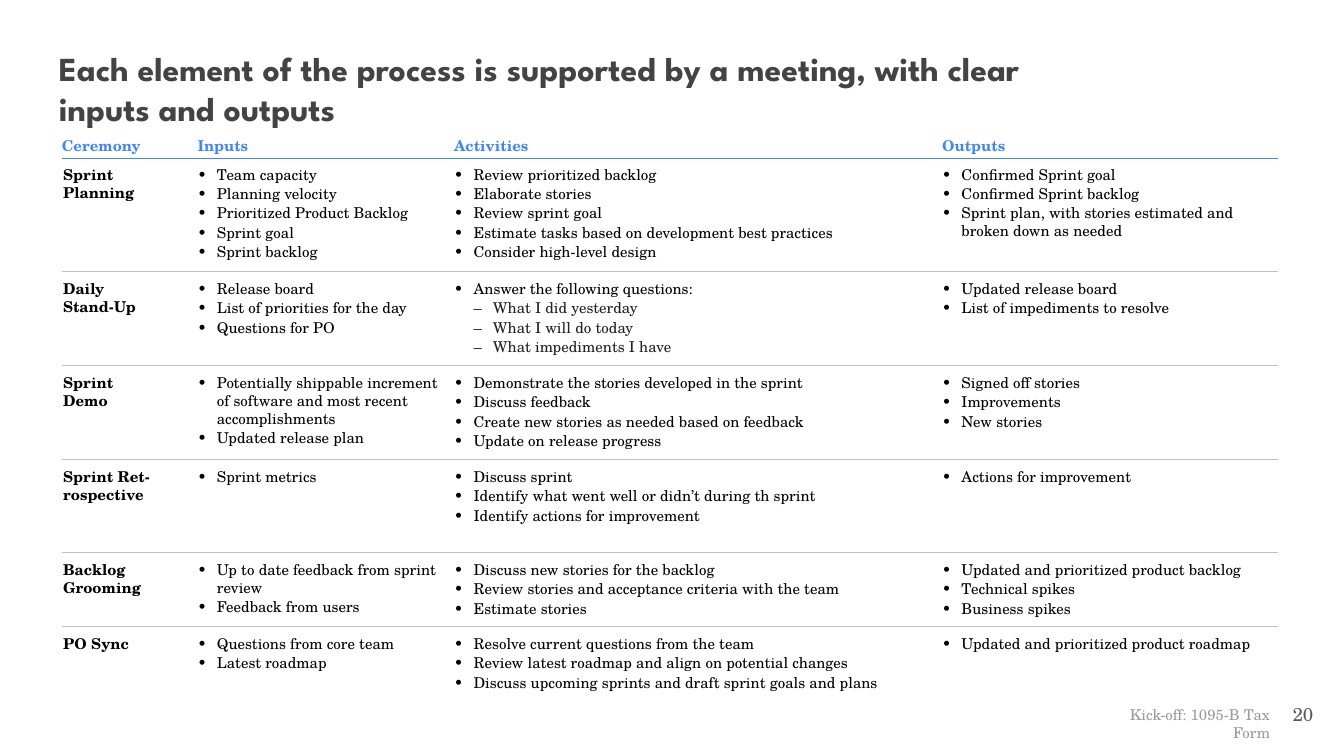
from math import ceil

from lxml.etree import SubElement
from pptx import Presentation
from pptx.dml.color import RGBColor
from pptx.enum.shapes import MSO_CONNECTOR as Connector
from pptx.enum.text import MSO_ANCHOR as Anchor, PP_ALIGN as Align
from pptx.oxml.ns import qn
from pptx.util import Inches, Pt

COLORS = {"title": "434343", "accent": "4285F4", "rule": "BFBFBF", "text": "000000",
          "sub": "212121", "number": "595959", "footer": "9B9B9B"}
HEAD_FONT, BODY_FONT = "League Spartan", "TeX Gyre Schola"

# The grid has square cells: 100 columns by 56.25 rows.
CELL = Inches(0.1)
COLUMNS, ROWS = 100, 56.25
TABLE_LEFT, TABLE_RIGHT = 4.6, 95.1
HEADER_TOP, HEADER_RULE = 10.2, 11.8
RULE_GAP = 0.6
LINE_ROWS = 1.45
CHARS_PER_COLUMN = 1.8
INDENT = 1.44

HEADINGS = [("Ceremony", 4.6, 9.2), ("Inputs", 14.7, 18),
            ("Activities", 33.8, 35.3), ("Outputs", 70.1, 25.1)]

# Top row, ceremony, then inputs, activities and outputs; "–" starts a sub-item.
CEREMONIES = [
    (12.3, "Sprint Planning",
     ["Team capacity", "Planning velocity", "Prioritized Product Backlog",
      "Sprint goal", "Sprint backlog"],
     ["Review prioritized backlog", "Elaborate stories", "Review sprint goal",
      "Estimate tasks based on development best practices",
      "Consider high-level design"],
     ["Confirmed Sprint goal", "Confirmed Sprint backlog",
      "Sprint plan, with stories estimated and broken down as needed"]),
    (20.8, "Daily\vStand-Up",
     ["Release board", "List of priorities for the day", "Questions for PO"],
     ["Answer the following questions:", "–What I did yesterday",
      "–What I will do today", "–What impediments I have"],
     ["Updated release board", "List of impediments to resolve"]),
    (27.8, "Sprint Demo",
     ["Potentially shippable increment of software and most recent accomplishments",
      "Updated release plan"],
     ["Demonstrate the stories developed in the sprint", "Discuss feedback",
      "Create new stories as needed based on feedback",
      "Update on release progress"],
     ["Signed off stories", "Improvements", "New stories"]),
    (34.8, "Sprint Ret-rospective",
     ["Sprint metrics"],
     ["Discuss sprint", "Identify what went well or didn’t during th sprint",
      "Identify actions for improvement"],
     ["Actions for improvement"]),
    (41.7, "Backlog Grooming",
     ["Up to date feedback from sprint review", "Feedback from users"],
     ["Discuss new stories for the backlog",
      "Review stories and acceptance criteria with the team", "Estimate stories"],
     ["Updated and prioritized product backlog", "Technical spikes",
      "Business spikes"]),
    (47.2, "PO Sync",
     ["Questions from core team", "Latest roadmap"],
     ["Resolve current questions from the team",
      "Review latest roadmap and align on potential changes",
      "Discuss upcoming sprints and draft sprint goals and plans"],
     ["Updated and prioritized product roadmap"]),
]


def cells(count):
    return round(count * CELL)


class Deck:
    """Holds the style and the current slide; lengths are in grid cells."""

    def __init__(self):
        self.file = Presentation()
        self.file.slide_width, self.file.slide_height = cells(COLUMNS), cells(ROWS)
        self.slide = self.file.slides.add_slide(self.file.slide_layouts[6])

    def frame(self, left, top, width, height, inset=0, bottom=None, anchor=Anchor.TOP):
        box = self.slide.shapes.add_textbox(*map(cells, (left, top, width, height)))
        frame = box.text_frame
        frame.word_wrap = True
        frame.vertical_anchor = anchor
        frame.margin_left = frame.margin_right = frame.margin_top = cells(inset)
        frame.margin_bottom = cells(inset if bottom is None else bottom)
        return frame

    def style(self, paragraph, color, size=8, bold=False, name=BODY_FONT):
        font = paragraph.font
        font.name, font.size, font.bold = name, Pt(size), bold
        font.color.rgb = RGBColor.from_string(COLORS[color])

    def indent(self, paragraph, left, hanging=0):
        properties = paragraph._p.get_or_add_pPr()
        properties.set("marL", str(cells(left)))
        properties.set("indent", str(-cells(hanging)))
        return properties

    def text(self, words, place, color, align=Align.LEFT, spacing=None, indent=0,
             inset=0, bottom=None, anchor=Anchor.TOP, **font):
        paragraph = self.frame(*place, inset, bottom, anchor).paragraphs[0]
        paragraph.text = words
        paragraph.alignment = align
        if spacing:
            paragraph.line_spacing = Pt(spacing)
        self.indent(paragraph, indent)
        self.style(paragraph, color, **font)

    def bullets(self, items, left, top, width):
        lines = sum(ceil(len(item) / (width * CHARS_PER_COLUMN)) for item in items)
        frame = self.frame(left, top, width, lines * LINE_ROWS)
        for index, item in enumerate(items):
            paragraph = frame.paragraphs[0] if index == 0 else frame.add_paragraph()
            is_sub = item.startswith("–")
            color = "sub" if is_sub else "text"
            paragraph.text = item.lstrip("–")
            paragraph.level = 2 if is_sub else 1
            if index:
                paragraph.space_before = Pt(0.8)
            properties = self.indent(paragraph, INDENT * paragraph.level, INDENT)
            tint = SubElement(properties, qn("a:buClr"))
            SubElement(tint, qn("a:srgbClr"), val=COLORS[color])
            SubElement(properties, qn("a:buFont"), typeface=BODY_FONT)
            SubElement(properties, qn("a:buChar"), char="–" if is_sub else "•")
            self.style(paragraph, color)

    def rule(self, row, color, weight):
        line = self.slide.shapes.add_connector(
            Connector.STRAIGHT, cells(TABLE_LEFT), cells(row), cells(TABLE_RIGHT), cells(row))
        line.line.color.rgb = RGBColor.from_string(COLORS[color])
        line.line.width = Pt(weight)
        SubElement(line._element.spPr, qn("a:effectLst"))


def main():
    deck = Deck()
    deck.text("Each element of the process is supported by a meeting, with clear "
              "inputs and outputs", (3.4, 2.6, 74.8, 8.1), "title", spacing=21.4,
              inset=1, size=18, bold=True, name=HEAD_FONT)

    for heading, left, width in HEADINGS:
        deck.text(heading, (left, HEADER_TOP, width, 1.5), "accent",
                  bottom=0.2, anchor=Anchor.BOTTOM, bold=True)
    deck.rule(HEADER_RULE, "accent", 0.75)

    for index, (top, ceremony, *lists) in enumerate(CEREMONIES):
        if index:
            deck.rule(top - RULE_GAP, "rule", 0.25)
        deck.text(ceremony, (2.6, top, 9.2, 2.7), "text", indent=2.1, bold=True)
        for items, (_, left, width) in zip(lists, HEADINGS[1:]):
            deck.bullets(items, left, top, width)

    deck.text("Kick-off: 1095-B Tax Form", (80.2, 51.5, 15.3, 3.9), "footer",
              align=Align.RIGHT, inset=1)
    deck.text("20", (92.7, 51, 6, 4.3), "number", align=Align.RIGHT, inset=1,
              anchor=Anchor.MIDDLE, size=10)
    deck.file.save("out.pptx")


if __name__ == "__main__":
    main()
